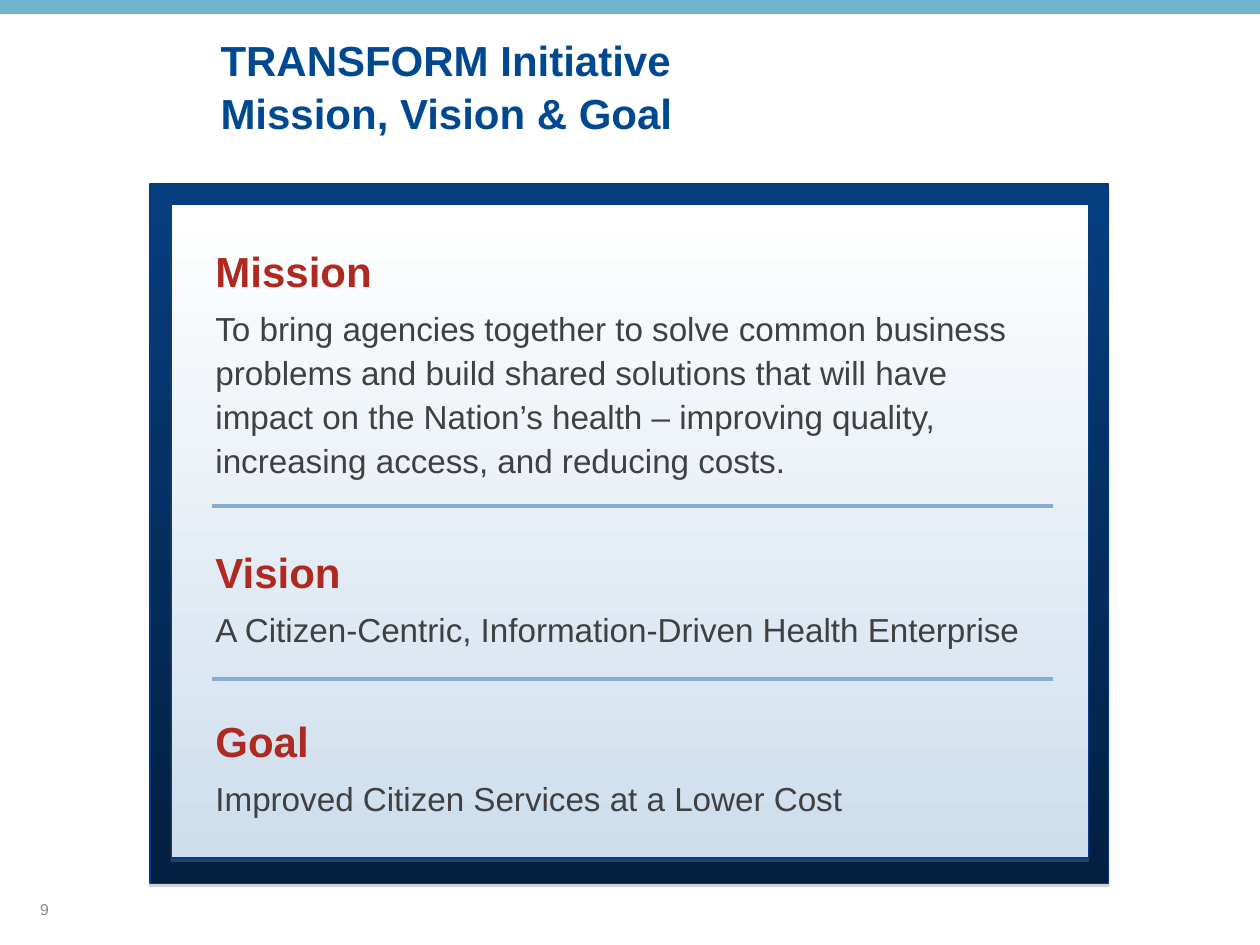
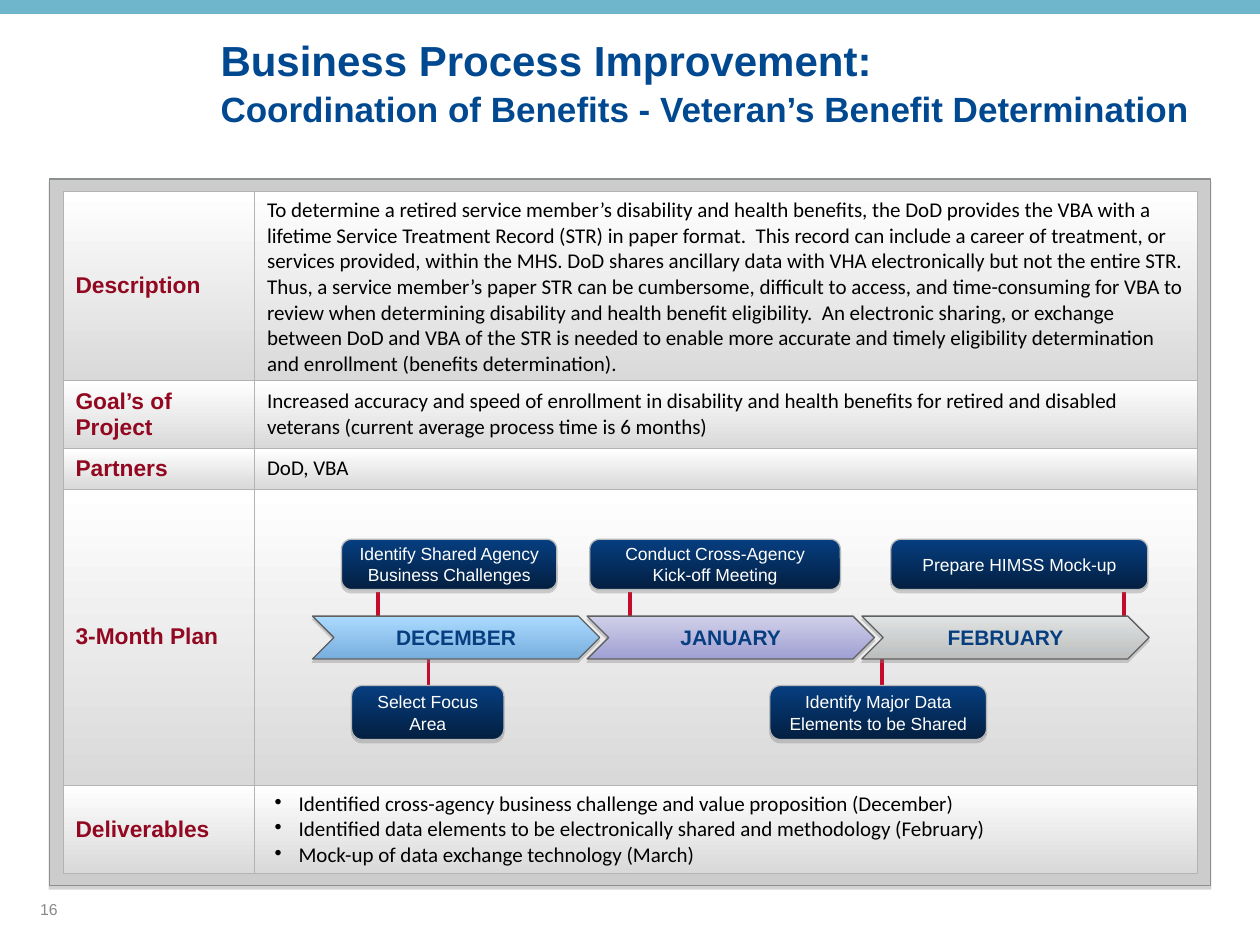
from dataclasses import dataclass
from typing import NamedTuple

from lxml import etree
from pptx import Presentation
from pptx import util as u
from pptx.dml.color import RGBColor
from pptx.enum import shapes, text
from pptx.oxml.ns import qn

COLUMNS, ROWS = 100, 75
SLIDE_WIDTH, SLIDE_HEIGHT = u.Inches(10), u.Inches(7.5)
TITLE_AND_CONTENT, TITLE_ONLY = 1, 5


class TextStyle(NamedTuple):
    size: float
    colour: str
    bold: bool = False
    font: str = "Arial"


class Gradient(NamedTuple):
    top: str
    bottom: str


@dataclass(frozen=True)
class Theme:
    band: str = "6FB5CC"
    panel_line: str = "033C80"
    divider: str = "84ADD1"
    table_frame: str = "CCCCCC"
    table_frame_line: str = "8C8F8F"
    cell_border: str = "B3B3B3"
    stem: str = "C40B2C"
    milestone_line: str = "B8BABA"
    month_line: str = "606060"
    shadow: str = "808080"
    navy: Gradient = Gradient("063E80", "031F40")
    panel: Gradient = Gradient("FFFFFF", "CEDEED")
    cell: Gradient = Gradient("FFFFFF", "D9D9D9")
    title: TextStyle = TextStyle(24, "004990", True)
    subtitle: TextStyle = TextStyle(20, "004990", True)
    heading: TextStyle = TextStyle(24, "AE2A21", True)
    statement: TextStyle = TextStyle(19, "404040")
    page_number: TextStyle = TextStyle(9, "898989")
    row_label: TextStyle = TextStyle(13, "930821", True)
    cell_text: TextStyle = TextStyle(12, "000000", font="Calibri")
    milestone: TextStyle = TextStyle(10, "FFFFFF")
    month: TextStyle = TextStyle(12, "063E80", True)


THEME = Theme()


class Box(NamedTuple):
    """A place on the slide, in grid columns and rows."""
    left: float
    top: float
    width: float
    height: float


class Section(NamedTuple):
    heading: str
    statement: str


class TableRow(NamedTuple):
    label: str
    lines: tuple[str, ...]
    height: float
    bulleted: bool = False


class Milestone(NamedTuple):
    label: str
    left: float
    width: float
    stem: float


class Month(NamedTuple):
    label: str
    fill: Gradient


class MilestoneRow(NamedTuple):
    top: float
    height: float
    stem_top: float
    stem_bottom: float
    milestones: tuple[Milestone, ...]


SECTIONS = (
    Section("Mission", "To bring agencies together to solve common business problems and build "
            "shared solutions that will have impact on the Nation’s health – improving quality, "
            "increasing access, and reducing costs."),
    Section("Vision", "A Citizen-Centric, Information-Driven Health Enterprise"),
    Section("Goal", "Improved Citizen Services at a Lower Cost"),
)
DIVIDER_ROWS = (40.15, 53.9)

PROJECT_ROWS = (
    TableRow("Description", (
        "To determine a retired service member’s disability and health benefits, the DoD provides "
        "the VBA with a lifetime Service Treatment Record (STR) in paper format.  This record can "
        "include a career of treatment, or services provided, within the MHS. DoD shares ancillary "
        "data with VHA electronically but not the entire STR. Thus, a service member’s paper STR "
        "can be cumbersome, difficult to access, and time-consuming for VBA to review when "
        "determining disability and health benefit eligibility.  An electronic sharing, or "
        "exchange between DoD and VBA of the STR is needed to enable more accurate and timely "
        "eligibility determination and enrollment (benefits determination).",), 15),
    TableRow("Goal’s of Project", (
        "Increased accuracy and speed of enrollment in disability and health benefits for retired "
        "and disabled veterans (current average process time is 6 months)",), 5.4),
    TableRow("Partners", ("DoD, VBA",), 3.2),
    TableRow("3-Month Plan", (), 23.5),
    TableRow("Deliverables", (
        "Identified cross-agency business challenge and value proposition (December)",
        "Identified data elements to be electronically shared and methodology (February)",
        "Mock-up of data exchange technology (March)"), 7, bulleted=True),
)
TABLE_COLUMNS = (15.2, 74.8)

MONTHS = (
    Month("DECEMBER", Gradient("ABDAFF", "78AEDD")),
    Month("JANUARY", Gradient("D0CFE9", "A0A0D4")),
    Month("FEBRUARY", Gradient("E0E3E3", "BCBEBE")),
)
FIRST_MONTH = Box(24.8, 48.9, 22.8, 3.4)
MONTH_STEP = 21.8

MILESTONE_ROWS = (
    MilestoneRow(42.8, 4, 47, 49.4, (
        Milestone("Identify Shared Agency Business Challenges", 27.1, 17.1, 30),
        Milestone("Conduct Cross-Agency\nKick-off Meeting", 46.8, 19.9, 50),
        Milestone("Prepare HIMSS Mock-up", 70.7, 20.4, 89.2))),
    MilestoneRow(54.4, 4.3, 51.6, 56.3, (
        Milestone("Select Focus Area", 27.9, 12.1, 34),
        Milestone("Identify Major Data Elements to be Shared", 61.1, 17.2, 70))),
)


def across(columns: float) -> int:
    return round(SLIDE_WIDTH * columns / COLUMNS)


def down(rows: float) -> int:
    return round(SLIDE_HEIGHT * rows / ROWS)


def emu(box: Box) -> tuple[int, int, int, int]:
    return across(box.left), down(box.top), across(box.width), down(box.height)


def rgb(colour: str) -> RGBColor:
    return RGBColor.from_string(colour)


def paint(fill, paint_with: str | Gradient) -> None:
    """Fill with one colour, or with a gradient running downwards."""
    if isinstance(paint_with, str):
        fill.solid()
        fill.fore_color.rgb = rgb(paint_with)
        return
    fill.gradient()
    fill.gradient_angle = 270
    for stop, colour in zip(fill.gradient_stops, paint_with):
        stop.color.rgb = rgb(colour)


def style_text(paragraph, style: TextStyle) -> None:
    font = paragraph.font
    font.name, font.size, font.bold = style.font, u.Pt(style.size), style.bold
    font.color.rgb = rgb(style.colour)


def set_bullet(paragraph, character: str = "", margin: float = 0, hanging: float = 0) -> None:
    properties = paragraph._p.get_or_add_pPr()
    properties.set("marL", str(u.Inches(margin)))
    properties.set("indent", str(-u.Inches(hanging)))
    if character:
        etree.SubElement(properties, qn("a:buChar"), char=character)
    else:
        etree.SubElement(properties, qn("a:buNone"))


def write_paragraphs(frame, lines):
    """Put one paragraph per line into an empty text frame and yield each."""
    for index, line in enumerate(lines):
        paragraph = frame.add_paragraph() if index else frame.paragraphs[0]
        paragraph.text = line
        yield paragraph


def add_shadow(shape) -> None:
    effects = shape.element.spPr.find(qn("a:effectLst"))
    shadow = etree.SubElement(effects, qn("a:outerShdw"), blurRad="0", dist=str(u.Pt(1.8)),
                              dir="5400000", rotWithShape="0")
    colour = etree.SubElement(shadow, qn("a:srgbClr"), val=THEME.shadow)
    etree.SubElement(colour, qn("a:alpha"), val="35000")


def add_block(slide, kind, box: Box, fill: str | Gradient, line: str | None = None):
    """Add a preset shape; an outlined one also drops a shadow."""
    shape = slide.shapes.add_shape(kind, *emu(box))
    shape.shadow.inherit = False
    paint(shape.fill, fill)
    if line is None:
        shape.line.fill.background()
    else:
        shape.line.color.rgb = rgb(line)
        shape.line.width = u.Pt(0.75)
        add_shadow(shape)
    return shape


def label_block(shape, label: str, style: TextStyle, side_inset: float) -> None:
    frame = shape.text_frame
    frame.word_wrap = True
    frame.vertical_anchor = text.MSO_ANCHOR.MIDDLE
    frame.margin_left = frame.margin_right = across(side_inset)
    frame.margin_top = frame.margin_bottom = 0
    paragraph = frame.paragraphs[0]
    paragraph.text = label
    paragraph.alignment = text.PP_ALIGN.CENTER
    style_text(paragraph, style)


def add_line(slide, start: tuple[float, float], end: tuple[float, float], colour: str) -> None:
    line = slide.shapes.add_connector(shapes.MSO_CONNECTOR.STRAIGHT, across(start[0]),
                                      down(start[1]), across(end[0]), down(end[1]))
    line.line.color.rgb = rgb(colour)
    line.line.width = u.Pt(2)
    etree.SubElement(line.element.spPr, qn("a:effectLst"))


def place(placeholder, box: Box):
    """Move a placeholder and return its top-anchored text frame."""
    placeholder.left, placeholder.top, placeholder.width, placeholder.height = emu(box)
    frame = placeholder.text_frame
    frame.auto_size = text.MSO_AUTO_SIZE.NONE
    frame.vertical_anchor = text.MSO_ANCHOR.TOP
    return frame


def add_slide(presentation, layout: int, title: tuple[str, str], second_style: TextStyle,
              number: int):
    slide = presentation.slides.add_slide(presentation.slide_layouts[layout])
    frame = place(slide.shapes.title, Box(16.5, 2, 83.5, 12.3))
    for paragraph, style in zip(write_paragraphs(frame, title), (THEME.title, second_style)):
        paragraph.alignment = text.PP_ALIGN.LEFT
        paragraph.line_spacing = 1.06
        style_text(paragraph, style)
    frame = slide.shapes.add_textbox(*emu(Box(2.2, 70.2, 23.3, 4))).text_frame
    frame.word_wrap = True
    frame.vertical_anchor = text.MSO_ANCHOR.MIDDLE
    for paragraph in write_paragraphs(frame, [str(number)]):
        style_text(paragraph, THEME.page_number)
    return slide


def add_band_to_master(presentation, slide) -> None:
    band = add_block(slide, shapes.MSO_SHAPE.RECTANGLE, Box(0, 0, COLUMNS, 1.1), THEME.band)
    presentation.slide_master.shapes.element.insert(2, band.element)


def build_mission_slide(presentation):
    slide = add_slide(presentation, TITLE_AND_CONTENT,
                      ("TRANSFORM Initiative", "Mission, Vision & Goal"), THEME.title, 9)
    body = slide.placeholders[1]
    for box, fill in ((Box(11.9, 14.6, 76.1, 55.5), THEME.navy),
                      (Box(13.6, 16.2, 72.8, 51.9), THEME.panel)):
        add_block(slide, shapes.MSO_SHAPE.RECTANGLE, box, fill, THEME.panel_line)
    slide.shapes.element.append(body.element)
    frame = place(body, Box(16.1, 18.6, 67.5, 51.5))
    lines = [line for section in SECTIONS for line in section]
    for index, paragraph in enumerate(write_paragraphs(frame, lines)):
        is_heading = index % 2 == 0
        set_bullet(paragraph)
        paragraph.line_spacing = 1.1
        paragraph.space_before = u.Pt(0 if index == 0 else 35 if is_heading else 4.8)
        style_text(paragraph, THEME.heading if is_heading else THEME.statement)
    for row in DIVIDER_ROWS:
        add_line(slide, (16.8, row), (83.6, row), THEME.divider)
    return slide


def format_cell(cell, lines: tuple[str, ...], style: TextStyle, bulleted: bool = False) -> None:
    cell.vertical_anchor = text.MSO_ANCHOR.MIDDLE
    properties = cell._tc.get_or_add_tcPr()
    for side in ("a:lnL", "a:lnR", "a:lnT", "a:lnB"):
        border = etree.SubElement(properties, qn(side), w=str(u.Pt(0.45)))
        border_fill = etree.SubElement(border, qn("a:solidFill"))
        etree.SubElement(border_fill, qn("a:srgbClr"), val=THEME.cell_border)
    paint(cell.fill, THEME.cell)
    for paragraph in write_paragraphs(cell.text_frame, lines):
        if bulleted:
            set_bullet(paragraph, "•", 0.25, 0.19)
        style_text(paragraph, style)


def add_project_table(slide) -> None:
    box = Box(5, 15.2, sum(TABLE_COLUMNS), sum(row.height for row in PROJECT_ROWS))
    table = slide.shapes.add_table(len(PROJECT_ROWS), len(TABLE_COLUMNS), *emu(box)).table
    table.first_row = table.horz_banding = False
    for column, width in zip(table.columns, TABLE_COLUMNS):
        column.width = across(width)
    for table_row, row in zip(table.rows, PROJECT_ROWS):
        table_row.height = down(row.height)
        label_cell, text_cell = table_row.cells
        format_cell(label_cell, (row.label,), THEME.row_label)
        format_cell(text_cell, row.lines, THEME.cell_text, row.bulleted)


def add_timeline(slide) -> None:
    for row in MILESTONE_ROWS:
        for milestone in row.milestones:
            add_line(slide, (milestone.stem, row.stem_top), (milestone.stem, row.stem_bottom),
                     THEME.stem)
            shape = add_block(slide, shapes.MSO_SHAPE.ROUNDED_RECTANGLE,
                              Box(milestone.left, row.top, milestone.width, row.height),
                              THEME.navy, THEME.milestone_line)
            shape.adjustments[0] = 0.2
            label_block(shape, milestone.label, THEME.milestone, 1)
    for index, month in enumerate(MONTHS):
        box = FIRST_MONTH._replace(left=FIRST_MONTH.left + index * MONTH_STEP)
        shape = add_block(slide, shapes.MSO_SHAPE.CHEVRON, box, month.fill, THEME.month_line)
        label_block(shape, month.label, THEME.month, 0)


def build_project_slide(presentation) -> None:
    slide = add_slide(presentation, TITLE_ONLY, (
        "Business Process Improvement:",
        "Coordination of Benefits - Veteran’s Benefit Determination"), THEME.subtitle, 16)
    add_block(slide, shapes.MSO_SHAPE.RECTANGLE, Box(3.9, 14.2, 92.2, 56.1),
              THEME.table_frame, THEME.table_frame_line)
    add_project_table(slide)
    add_timeline(slide)


def main() -> None:
    presentation = Presentation()
    presentation.slide_width, presentation.slide_height = SLIDE_WIDTH, SLIDE_HEIGHT
    add_band_to_master(presentation, build_mission_slide(presentation))
    build_project_slide(presentation)
    presentation.save("out.pptx")


if __name__ == "__main__":
    main()
